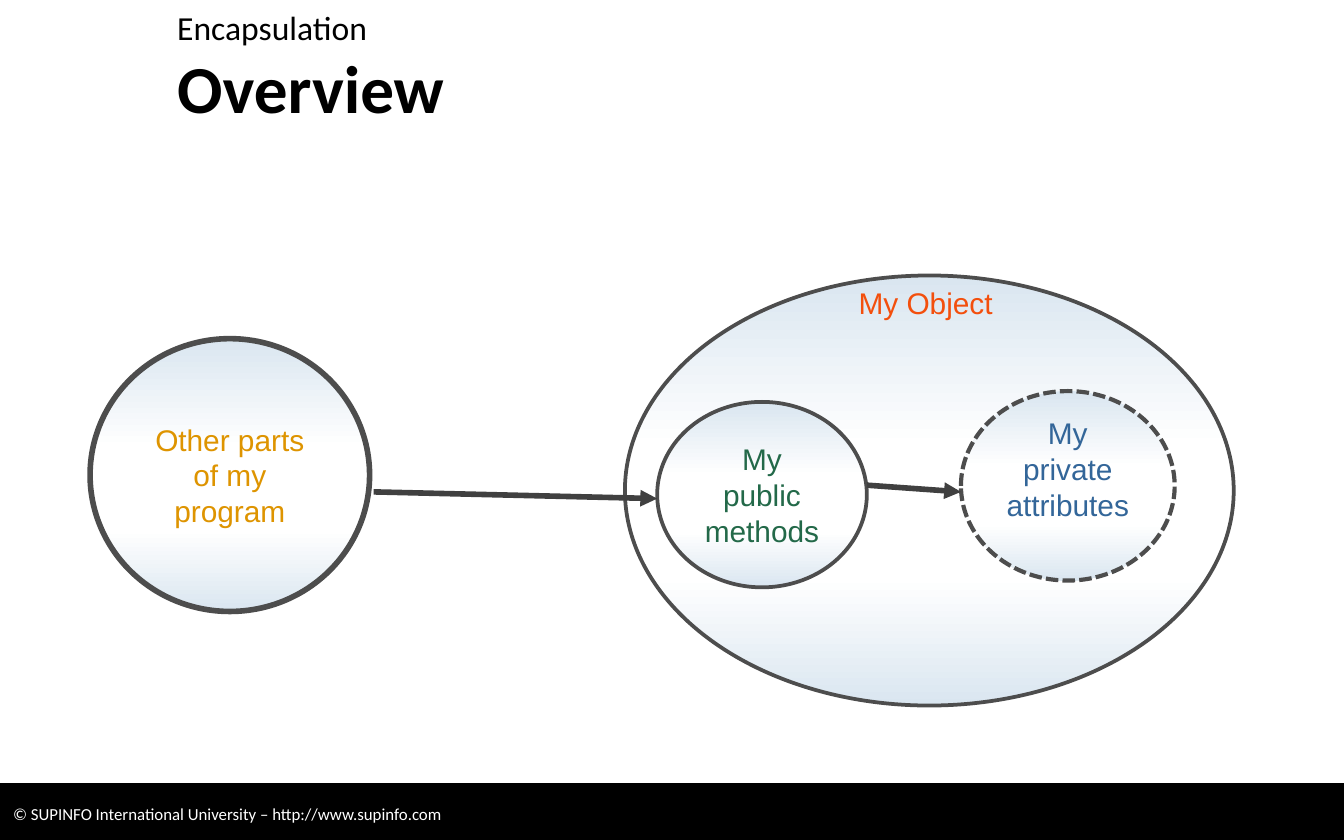
"""Build the encapsulation overview slide."""
from dataclasses import dataclass
from typing import Optional

from lxml import etree
from pptx import Presentation
from pptx import util as u
from pptx.dml.color import RGBColor
from pptx.enum import dml, shapes, text
from pptx.oxml import parse_xml
from pptx.oxml.ns import nsdecls, qn

BLACK = RGBColor(0x00, 0x00, 0x00)
WHITE = RGBColor(0xFF, 0xFF, 0xFF)
PALE = RGBColor(0xDA, 0xE6, 0xF0)
OUTLINE = RGBColor(0x4D, 0x4D, 0x4D)
ARROW = RGBColor(0x40, 0x40, 0x40)
BLUE = RGBColor(0x33, 0x66, 0x99)
GREEN = RGBColor(0x23, 0x69, 0x49)
ORANGE = RGBColor(0xF3, 0x4F, 0x0D)
AMBER = RGBColor(0xDE, 0x94, 0x00)

WIDTH, HEIGHT = u.Inches(10), u.Inches(6.25)
CELL = WIDTH / 100
STOPS = ((0, PALE), (40, WHITE), (70, WHITE), (100, PALE))
MIDDLE = text.MSO_ANCHOR.MIDDLE


@dataclass(frozen=True)
class Box:
    """A place on the grid, in columns and rows."""
    col: float
    row: float
    cols: float
    rows: float

    def emu(self) -> tuple:
        """Return left, top, width and height as lengths."""
        return tuple(cells(v) for v in (self.col, self.row, self.cols, self.rows))


@dataclass(frozen=True)
class Bubble:
    """An ellipse with an outline and an optional label."""
    box: Box
    weight: float
    label: str = ""
    color: RGBColor = BLACK
    dash: Optional[dml.MSO_LINE] = None
    bottom: float = 0.05


@dataclass(frozen=True)
class Arrow:
    """A straight arrow between two grid points."""
    start: tuple
    end: tuple


BUBBLES = (
    Bubble(Box(46.5, 20.5, 45.3, 32), 2),
    Bubble(Box(71.5, 29.1, 15.9, 14.1), 2.25, "My private attributes", BLUE,
           dml.MSO_LINE.SQUARE_DOT, 0.31),
    Bubble(Box(48.9, 29.9, 15.6, 13.8), 2, "My public methods", GREEN),
    Bubble(Box(6.7, 25.2, 20.8, 20.3), 3, "Other parts of my program", AMBER),
)
ARROWS = (
    Arrow((27.8, 36.6), (48.9, 37.1)),
    Arrow((64.5, 36.1), (71.5, 36.6)),
)


def cells(n: float) -> int:
    """Convert a number of grid cells to a length."""
    return u.Emu(round(n * CELL))


def write(sp, words: str, *, size: float, color: RGBColor, font: str = "Arial",
          bold: bool = False, align=text.PP_ALIGN.LEFT,
          anchor=text.MSO_ANCHOR.TOP, bottom: float = 0.05) -> None:
    """Put one formatted paragraph into a shape."""
    tf = sp.text_frame
    tf.word_wrap = True
    tf.vertical_anchor = anchor
    tf.margin_bottom = u.Inches(bottom)
    p = tf.paragraphs[0]
    p.alignment = align
    r = p.add_run()
    r.text = words
    r.font.name, r.font.size, r.font.bold = font, u.Pt(size), bold
    r.font.color.rgb = color


def shade(sp) -> None:
    """Fill a shape with the vertical pale gradient."""
    sp.fill.gradient()
    stops = "".join(f'<a:gs pos="{pos * 1000}"><a:srgbClr val="{color}"/></a:gs>'
                    for pos, color in STOPS)
    grad = parse_xml(f'<a:gradFill {nsdecls("a")} rotWithShape="1"><a:gsLst>{stops}'
                     '</a:gsLst><a:lin ang="5400000" scaled="0"/></a:gradFill>')
    old = sp._element.spPr.find(qn("a:gradFill"))
    sp._element.spPr.replace(old, grad)


def draw_bubble(s, bubble: Bubble) -> None:
    """Draw an ellipse and its label."""
    sp = s.shapes.add_shape(shapes.MSO_SHAPE.OVAL, *bubble.box.emu())
    sp.shadow.inherit = False
    shade(sp)
    sp.line.color.rgb = OUTLINE
    sp.line.width = u.Pt(bubble.weight)
    if bubble.dash:
        sp.line.dash_style = bubble.dash
    if bubble.label:
        write(sp, bubble.label, size=16, color=bubble.color, anchor=MIDDLE,
              align=text.PP_ALIGN.CENTER, bottom=bubble.bottom)


def draw_arrow(s, arrow: Arrow) -> None:
    """Draw a connector with a triangular head at its end."""
    ends = (cells(v) for v in arrow.start + arrow.end)
    cx = s.shapes.add_connector(shapes.MSO_CONNECTOR.STRAIGHT, *ends)
    cx.line.color.rgb = ARROW
    cx.line.width = u.Pt(3)
    etree.SubElement(cx.line._get_or_add_ln(), qn("a:tailEnd"), type="triangle")
    etree.SubElement(cx._element.spPr, qn("a:effectLst"))


def draw_text(s, box: Box, words: str, **fmt) -> None:
    """Add a text box with formatted words."""
    write(s.shapes.add_textbox(*box.emu()), words, **fmt)


def draw_footer(s) -> None:
    """Draw the black copyright band."""
    sp = s.shapes.add_shape(shapes.MSO_SHAPE.RECTANGLE, *Box(0, 58.3, 100, 4.5).emu())
    sp.shadow.inherit = False
    sp.fill.solid()
    sp.fill.fore_color.rgb = BLACK
    sp.line.color.rgb = BLACK
    sp.line.width = u.Pt(0.75)
    write(sp, "© SUPINFO International University – http://www.supinfo.com",
          size=9, color=WHITE, font="Calibri", anchor=MIDDLE)


def main() -> None:
    """Assemble the slide and save it."""
    prs = Presentation()
    prs.slide_width, prs.slide_height = WIDTH, HEIGHT
    s = prs.slides.add_slide(prs.slide_layouts[6])
    draw_footer(s)
    draw_text(s, Box(12.2, 3.7, 85.1, 5.5), "Overview", size=36, color=BLACK,
              font="Calibri", bold=True, anchor=MIDDLE)
    draw_text(s, Box(12.2, 0, 85.1, 3.7), "Encapsulation", size=18, color=BLACK,
              font="Calibri")
    for bubble in BUBBLES:
        draw_bubble(s, bubble)
    draw_text(s, Box(62.9, 20.7, 12.5, 3.7), "My Object", size=16, color=ORANGE)
    for arrow in ARROWS:
        draw_arrow(s, arrow)
    prs.save("out.pptx")


if __name__ == "__main__":
    main()
